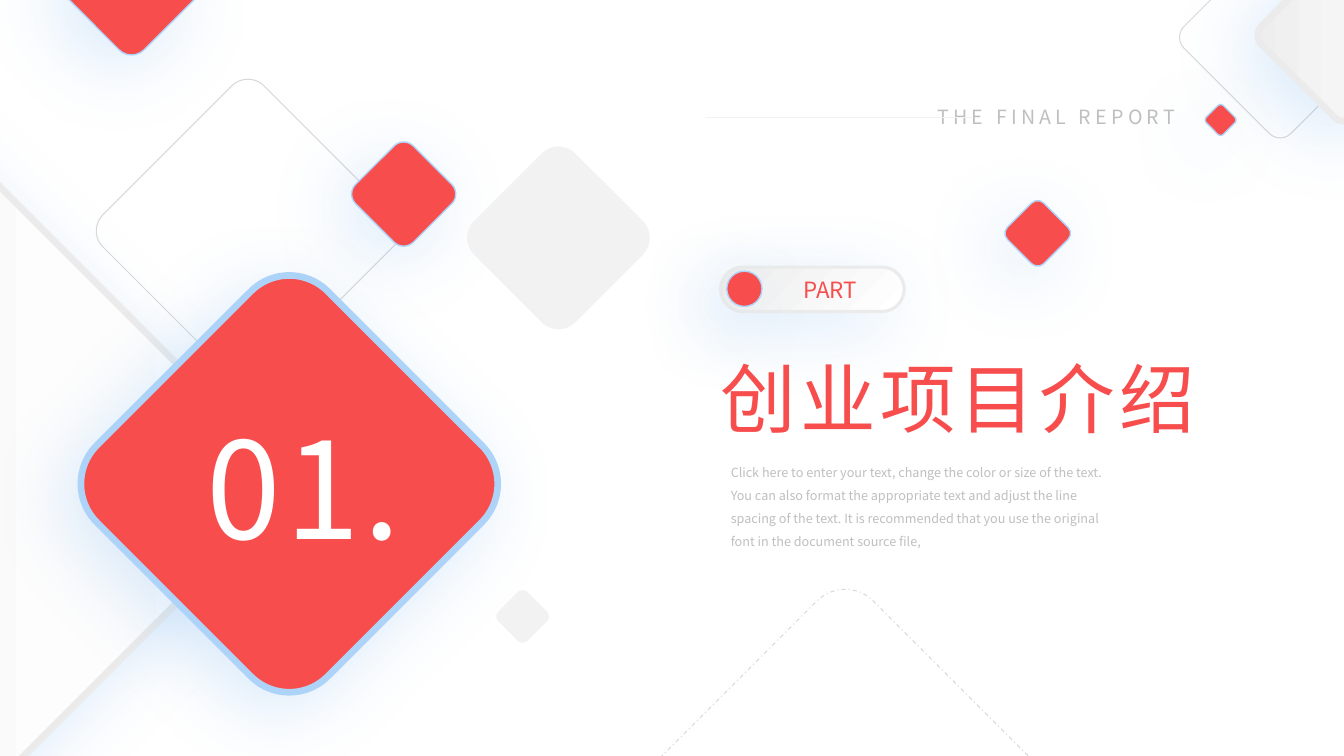
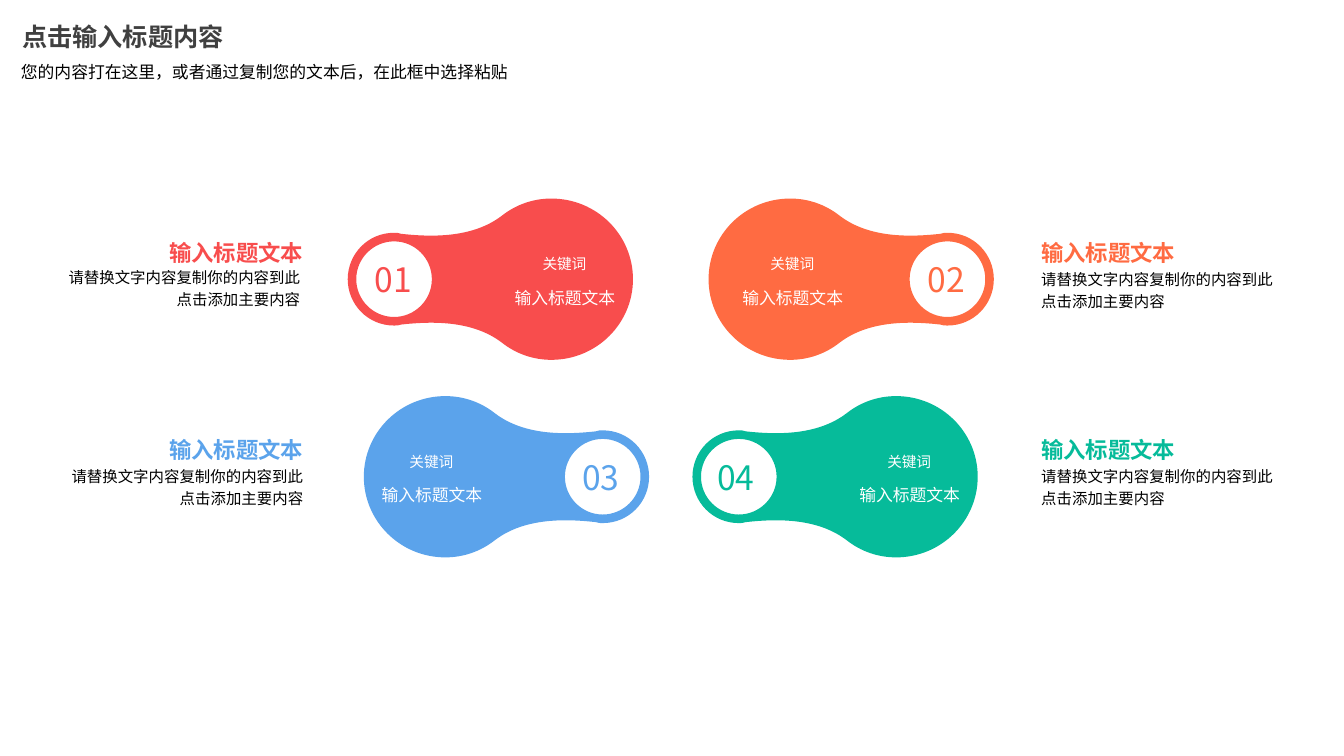
from copy import deepcopy

from lxml import etree
from pptx import Presentation
from pptx.dml.color import RGBColor
from pptx.enum import dml, shapes, text
from pptx.oxml import ns
from pptx.util import Inches, Pt

FONT = "Noto Sans CJK SC"
RED, ORANGE, BLUE, GREEN = "F84D4D", "FF6B42", "5BA3EB", "06BB9A"
WHITE, BLACK, DARK, PALE = "FFFFFF", "000000", "404040", "F2F2F2"
GREY, THIN, RIM, FRAME = "BFBFBF", "D9D9D9", "AED3F8", "EBEBEB"
SHADE = "4999E9"
LEFT, MID, RIGHT = text.PP_ALIGN.LEFT, text.PP_ALIGN.CENTER, text.PP_ALIGN.RIGHT
TOP, CENTER = text.MSO_ANCHOR.TOP, text.MSO_ANCHOR.MIDDLE
ROUND = shapes.MSO_SHAPE.ROUNDED_RECTANGLE
RECT, OVAL = shapes.MSO_SHAPE.RECTANGLE, shapes.MSO_SHAPE.OVAL
POD_W, POD_H = 2.83, 1.6
KAPPA = 0.55


def color(code):
    """Turn a hex string into a colour."""
    return RGBColor.from_string(code)


def box(*vals):
    """Turn inch values into lengths."""
    return [Inches(v) for v in vals]


def write(shape, words, size, ink, align=LEFT, bold=False, gap=0, lead=None,
          inset=(0.1, 0.05), wrap=True, anchor=TOP):
    """Fill a shape with formatted text."""
    frame = shape.text_frame
    frame.text = words
    frame.word_wrap = wrap
    frame.auto_size = text.MSO_AUTO_SIZE.NONE
    frame.vertical_anchor = anchor
    frame.margin_left = frame.margin_right = Inches(inset[0])
    frame.margin_top = frame.margin_bottom = Inches(inset[1])
    for para in frame.paragraphs:
        para.alignment = align
        if lead:
            para.line_spacing = lead
        for run in para.runs:
            font = run.font
            font.size, font.bold = Pt(size), bold
            font.color.rgb = color(ink)
            font.name = FONT
            props = run._r.get_or_add_rPr()
            etree.SubElement(props, ns.qn("a:ea")).set("typeface", FONT)
            if gap:
                props.set("spc", str(gap * 100))
        for turn in para._p.findall(ns.qn("a:br")):
            turn.insert(0, deepcopy(props))


def label(slide, at, words, size, ink, **style):
    """Add a text box."""
    write(slide.shapes.add_textbox(*box(*at)), words, size, ink, **style)


def head(slide, at, words, size, ink, **style):
    """Place and format the slide title above the other shapes."""
    title = slide.shapes.title
    title.left, title.top, title.width, title.height = box(*at)
    write(title, words, size, ink, **style)
    slide.shapes.element.append(title.element)


def glow(shape):
    """Give a shape the soft blue shadow."""
    effects = shape.element.spPr.find(ns.qn("a:effectLst"))
    outer = etree.SubElement(effects, ns.qn("a:outerShdw"), blurRad=str(Pt(55)),
                             dist=str(Pt(15)), dir="8100000", algn="tr",
                             rotWithShape="0")
    tint = etree.SubElement(outer, ns.qn("a:srgbClr"), val=SHADE)
    etree.SubElement(tint, ns.qn("a:alpha"), val="20000")


def paint(shape, fill=None, line=None, width=1, soft=False, stop=None):
    """Set fill, outline and shadow; a stop makes the fill a gradient."""
    shape.shadow.inherit = False
    if stop:
        shape.fill.gradient()
        shape.fill.gradient_angle = 45
        first, last = shape.fill.gradient_stops
        first.color.rgb, first.position = color(WHITE), 0
        last.color.rgb, last.position = color("EEEEEE"), stop
        shape.element.spPr.find(ns.qn("a:xfrm")).set("flipH", "1")
    elif fill:
        shape.fill.solid()
        shape.fill.fore_color.rgb = color(fill)
    else:
        shape.fill.background()
    if line:
        shape.line.color.rgb = color(line)
        shape.line.width = Pt(width)
    else:
        shape.line.fill.background()
    if soft:
        glow(shape)
    return shape


def gem(slide, x, y, side, bend=None, **look):
    """Add a rounded square standing on its corner."""
    shape = slide.shapes.add_shape(ROUND, *box(x, y, side, side))
    shape.rotation = 315
    if bend:
        shape.adjustments[0] = bend
    return paint(shape, **look)


def gems(slide):
    """Scatter the diamonds of the section slide."""
    hollow = dict(bend=0.1, line=THIN, width=0.75)
    plate = dict(bend=0.1, line=FRAME, width=4.75, soft=True)
    ruby = dict(fill=RED, line=RIM, soft=True)
    gem(slide, 1.33, 1.16, 2.26, **hollow)
    gem(slide, -8.25, 0.16, 9.27, stop=0.85, **plate)
    gem(slide, 11.95, -0.38, 1.5, **hollow)
    gem(slide, 12.69, -0.29, 1.28, stop=1, **plate)
    gem(slide, 1.25, 3.18, 3.24, width=4.75, **ruby)
    for x, y, side in ((0.78, -0.65, 1.05), (10.04, 2.06, 0.51), (3.6, 1.52, 0.81)):
        gem(slide, x, y, side, **ruby)
    for x, y, side in ((4.83, 1.65, 1.42), (4.98, 5.91, 0.41)):
        gem(slide, x, y, side, fill=PALE)
    gem(slide, 11.99, 1.07, 0.24, **ruby)


def strap(slide, x, y):
    """Add the report name with its thin rule."""
    label(slide, (x, y, 3.1, 0.34), "THE FINAL REPORT", 14, GREY, gap=3)
    ends = box(x + 0.44, y + 0.17, x - 2.21, y + 0.17)
    rule = slide.shapes.add_connector(shapes.MSO_CONNECTOR.STRAIGHT, *ends)
    rule.line.color.rgb = color(PALE)
    rule.line.width = Pt(0.5)
    etree.SubElement(rule.element.spPr, ns.qn("a:effectLst"))


def pill(slide, x, y):
    """Add the part badge."""
    badge = slide.shapes.add_shape(ROUND, *box(x, y, 1.82, 0.44))
    badge.adjustments[0] = 0.5
    paint(badge, stop=1, line=FRAME, width=2.25, soft=True)
    dot = slide.shapes.add_shape(OVAL, *box(x + 0.06, y + 0.04, 0.35, 0.35))
    paint(dot, RED, RIM, soft=True)
    label(slide, (x + 0.64, y + 0.09, 0.89, 0.27), "PART", 16, RED,
          align=MID, inset=(0, 0))


def section(slide):
    """Build the section slide."""
    strap(slide, 9.2, 0.99)
    gems(slide)
    pill(slide, 7.15, 2.65)
    peak = gem(slide, 6.41, 6.5, 3.95, bend=0.1, line=THIN, width=0.75)
    peak.line.dash_style = dml.MSO_LINE.DASH_DOT
    label(slide, (1.76, 3.97, 2.51, 1.72), "01.", 96, WHITE, align=MID, gap=3)
    head(slide, (7.05, 3.44, 5.9, 1.01), "创业项目介绍", 54, RED, gap=3)
    label(slide, (7.25, 4.54, 3.74, 0.89),
          "Click here to enter your text, change the color or size of the text. "
          "You can also format the appropriate text and adjust the line spacing "
          "of the text. It is recommended that you use the original font in the "
          "document source file,", 9, GREY, lead=1.5, inset=(0, 0))


def ring(half):
    """Close an upper half outline with its mirror below."""
    return half + [(x, POD_H - y) for x, y in reversed(half[:-1])]


def arch(x, r):
    """List the Bezier points of the upper half of a circle on the pod axis."""
    y, k = POD_H / 2, KAPPA * r
    return [(x - r, y), (x - r, y - k), (x - k, y - r), (x, y - r),
            (x + k, y - r), (x + r, y - k), (x + r, y)]


def smooth(shape):
    """Join each three straight segments into one Bezier curve."""
    lines = list(shape.element.iter(ns.qn("a:lnTo")))
    for n in range(0, len(lines), 3):
        bend = etree.Element(ns.qn("a:cubicBezTo"))
        lines[n].addprevious(bend)
        for line in lines[n:n + 3]:
            bend.append(line[0])
            line.getparent().remove(line)
    return shape


def trace(slide, x, y, flip, ink, *halves):
    """Draw mirrored half outlines as one curved freeform."""
    pen = None
    for half in halves:
        dots = [box(x + (POD_W - a if flip else a), y + b) for a, b in ring(half)]
        if pen is None:
            pen = slide.shapes.build_freeform(*dots[0])
        else:
            pen.move_to(*dots[0])
        pen.add_line_segments(dots[1:], close=True)
    return paint(smooth(pen.convert_to_shape()), ink)


def pod(slide, x, y, num, ink, flip, hub, mid):
    """Add one numbered pod; hub and mid centre its number and labels."""
    body = [(0, 0.8), (0, 0.55), (0.2, 0.34), (0.46, 0.34),
            (0.48, 0.34), (0.51, 0.34), (0.53, 0.35),
            (0.81, 0.38), (1.23, 0.4), (1.53, 0.17),
            (1.67, 0.06), (1.84, 0), (2.02, 0),
            (2.47, 0), (POD_W, 0.36), (POD_W, 0.8)]
    trace(slide, x, y, flip, ink, body, arch(0.46, 0.375))
    disc = trace(slide, x, y, False, WHITE, arch(hub, 0.28))
    write(disc, num, 24, ink, align=MID, wrap=False, anchor=CENTER)
    style = dict(align=MID, inset=(0, 0), wrap=False, anchor=CENTER)
    tag = slide.shapes.add_shape(RECT, *box(x + mid - 0.32, y + 0.5, 0.64, 0.3))
    write(paint(tag, ink), "关键词", 10.5, WHITE, **style)
    label(slide, (x + mid - 0.5, y + 0.88, 1.01, 0.2), "输入标题文本", 12, WHITE, **style)


def note(slide, x, y, ink, align, shift):
    """Add the body and heading beside a pod."""
    style = dict(align=align, inset=(0.08, 0))
    dx, dy = shift
    label(slide, (x + dx, y + 0.27 + dy, 2.68, 0.52),
          "请替换文字内容复制你的内容到此\v点击添加主要内容", 11, BLACK, lead=1.2, **style)
    label(slide, (x, y, 2.68, 0.27), "输入标题文本", 16, ink, bold=True,
          wrap=False, **style)


def points(slide):
    """Build the slide with four numbered pods."""
    pods = ((3.45, RED, False, 0.45, 2.15, (-0.03, -0.02)),
            (7.03, ORANGE, True, 2.36, 0.83, (0, 0)),
            (3.61, BLUE, True, 2.35, 0.67, (0, 0)),
            (6.87, GREEN, False, 0.43, 2.15, (0, 0)))
    for n, (x, ink, flip, hub, mid, shift) in enumerate(pods):
        row, col = divmod(n, 2)
        y = 1.97 + 1.96 * row
        pod(slide, x, y, f"{n + 1:02}", ink, flip, hub, mid)
        note(slide, (0.41, 10.25)[col], y + 0.4, ink, (RIGHT, LEFT)[col], shift)
    head(slide, (0.22, 0.15, 2.33, 0.42), "点击输入标题内容", 18, DARK,
         bold=True, inset=(0, 0.05), anchor=CENTER)
    label(slide, (0.11, 0.56, 6.67, 0.3),
          "您的内容打在这里，或者通过复制您的文本后，在此框中选择粘贴", 12, BLACK)


def main():
    """Build and save the deck."""
    deck = Presentation()
    deck.slide_width, deck.slide_height = box(40 / 3, 7.5)
    for build in (section, points):
        build(deck.slides.add_slide(deck.slide_layouts[5]))
    deck.save("out.pptx")


if __name__ == "__main__":
    main()
